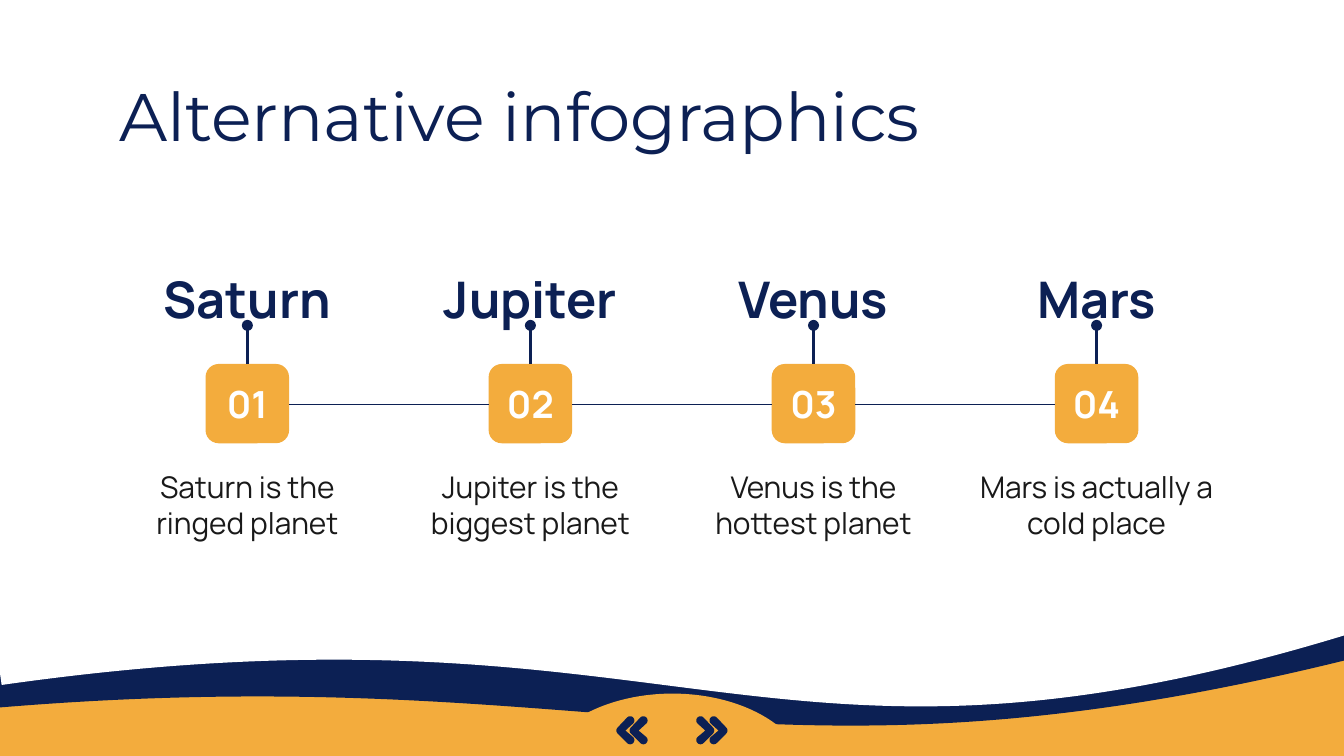
"""Build a four-step planet timeline slide above a wavy footer."""
from math import cos, radians, sin

from lxml import etree
from pptx import Presentation
from pptx.dml.color import RGBColor
from pptx.enum.shapes import MSO_CONNECTOR, MSO_SHAPE
from pptx.enum.text import MSO_ANCHOR, PP_ALIGN
from pptx.oxml.ns import qn
from pptx.util import Cm, Pt

STRAIGHT = MSO_CONNECTOR.STRAIGHT
WAVE, PIE, ROUNDED = MSO_SHAPE.FLOWCHART_DOCUMENT, MSO_SHAPE.PIE, MSO_SHAPE.ROUNDED_RECTANGLE
MIDDLE, CENTER, LEFT = MSO_ANCHOR.MIDDLE, PP_ALIGN.CENTER, PP_ALIGN.LEFT
NAVY, ORANGE, WHITE, BLACK = "0C2054", "F3AC3D", "FFFFFF", "191919"


def paint(target, color):
    """Give a shape, background or line a solid color."""
    target.fill.solid()
    target.fill.fore_color.rgb = RGBColor.from_string(color)


def write(shape, text, size, font, color, bold=False, align=CENTER, side=0):
    """Put one formatted paragraph in the middle of a shape."""
    frame = shape.text_frame
    frame.word_wrap = True
    frame.vertical_anchor = MIDDLE
    frame.margin_left = frame.margin_right = Cm(side)
    frame.margin_top = frame.margin_bottom = Cm(0.25)
    paragraph = frame.paragraphs[0]
    paragraph.text = text
    paragraph.alignment = align
    paragraph.font.size = Pt(size)
    paragraph.font.name = font
    paragraph.font.bold = bold
    paragraph.font.color.rgb = RGBColor.from_string(color)


presentation = Presentation()
presentation.slide_width, presentation.slide_height = Cm(25.4), Cm(14.29)
slide = presentation.slides.add_slide(presentation.slide_layouts[5])
shapes = slide.shapes
paint(slide.background, ORANGE)

footer = [
    (WAVE, -5.28, -1.78, 34.42, 16.56, 351.9, NAVY),
    (WAVE, -0.81, -2.24, 27.79, 16.56, 351.9, WHITE),
    (PIE, 10.13, 13.11, 5.16, 3.33, 180, ORANGE),
]
for kind, left, top, width, height, rotation, color in footer:
    shape = shapes.add_shape(kind, Cm(left), Cm(top), Cm(width), Cm(height))
    shape.rotation = rotation
    shape._element.spPr.get_or_add_xfrm().set("flipH", "1")
    shape.shadow.inherit = False
    shape.line.fill.background()
    paint(shape, color)
    if kind == PIE:
        shape.adjustments[0], shape.adjustments[1] = 0, 108.31

radius = 0.08
arcs = [(0.08, 0.08, -45, -225), (0.08, 0.45, 225, 45), (0.26, 0.27, 45, -45)]
for direction, start in [(1, 13.16), (1, 13.41), (-1, 12.24), (-1, 11.99)]:
    outline = []
    for x, y, first, last in arcs:
        for angle in range(first, last - 1, -15):
            outline.append((Cm(start + direction * (x + radius * cos(radians(angle)))),
                            Cm(13.54 + y + radius * sin(radians(angle)))))
        if last == -225:
            outline.append((Cm(start + direction * 0.17), Cm(13.81)))
    builder = shapes.build_freeform(*outline[0])
    builder.add_line_segments(outline[1:])
    chevron = builder.convert_to_shape()
    chevron.shadow.inherit = False
    chevron.line.fill.background()
    paint(chevron, NAVY)

title = shapes.title
title.left, title.top, title.width, title.height = Cm(2), Cm(1.5), Cm(21.41), Cm(1.35)
write(title, "Alternative infographics", 36, "Montserrat", NAVY, align=LEFT, side=0.25)
shapes._spTree.append(title._element)

planets = [
    ("Saturn", "Saturn is the ringed planet"),
    ("Jupiter", "Jupiter is the biggest planet"),
    ("Venus", "Venus is the hottest planet"),
    ("Mars", "Mars is actually a cold place"),
]
pitch, box_width = 5.35, 1.58
lines = []
for index, (name, description) in enumerate(planets):
    center = 12.7 + (index - 1.5) * pitch
    box = shapes.add_shape(ROUNDED, Cm(center - box_width / 2), Cm(6.88), Cm(box_width), Cm(1.5))
    box.shadow.inherit = False
    box.line.fill.background()
    paint(box, ORANGE)
    write(box, f"{index + 1:02}", 20, "Manrope", WHITE, bold=True)

    heading = shapes.add_textbox(Cm(center - 1.89), Cm(5.13), Cm(3.78), Cm(1.02))
    write(heading, name, 27, "Manrope", NAVY, bold=True)
    caption = shapes.add_textbox(Cm(center - 2.23), Cm(8.76), Cm(4.46), Cm(1.55))
    write(caption, description, 16, "Manrope", BLACK)

    lines.append((center, 6.15, center, 6.88, 1.5))
    if index < len(planets) - 1:
        edge = center + box_width / 2
        lines.append((edge, 7.65, edge + pitch - box_width, 7.65, 0.75))

for x1, y1, x2, y2, weight in lines:
    connector = shapes.add_connector(STRAIGHT, Cm(x1), Cm(y1), Cm(x2), Cm(y2))
    paint(connector.line, NAVY)
    connector.line.width = Pt(weight)
    etree.SubElement(connector._element.spPr, qn("a:effectLst"))
    if x1 == x2:
        etree.SubElement(connector.line._get_or_add_ln(), qn("a:headEnd"), type="oval")

presentation.save("out.pptx")
